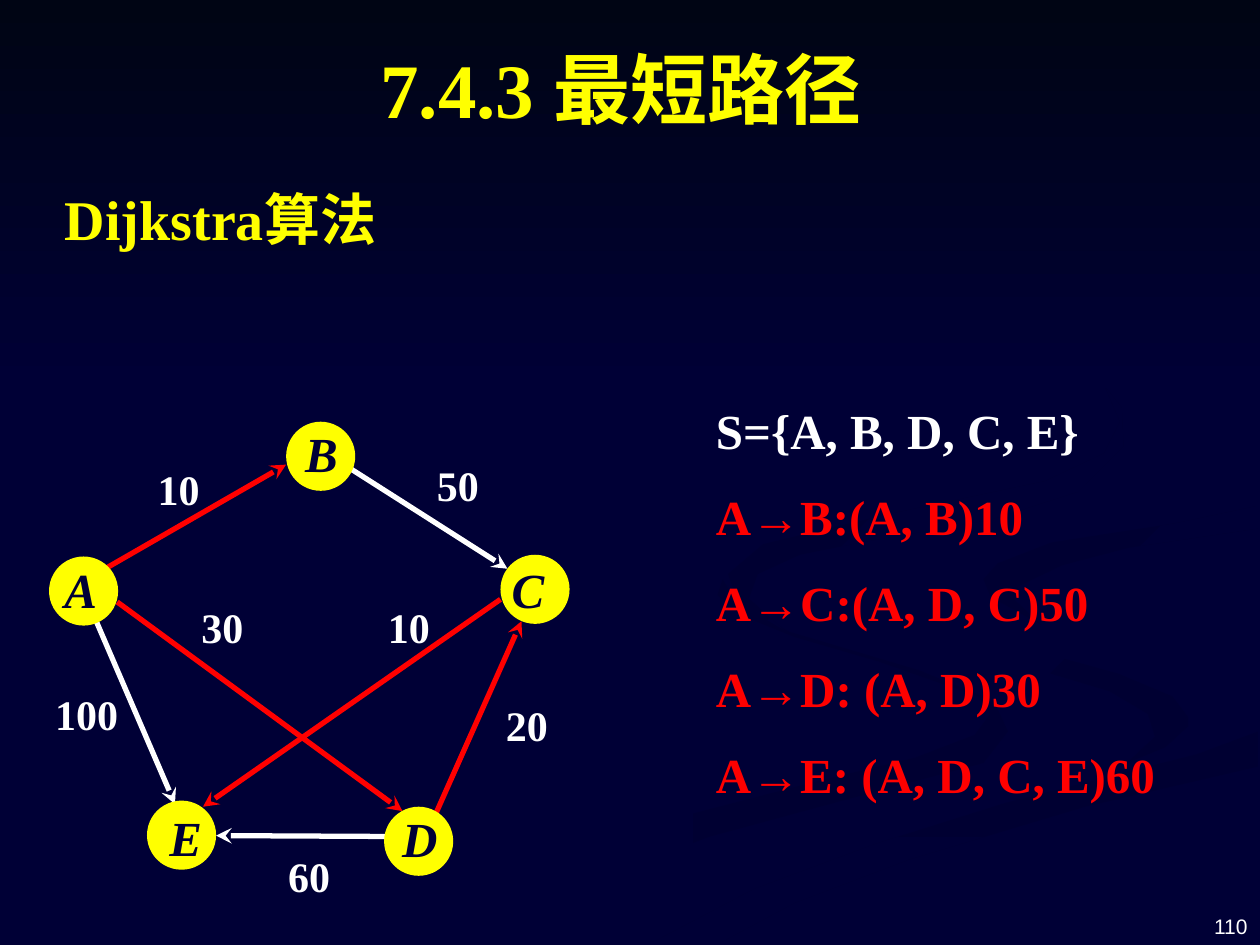
from pptx import Presentation
from pptx.dml.color import RGBColor
from pptx.enum.shapes import MSO_CONNECTOR as Link, MSO_SHAPE as Kind
from pptx.enum.text import MSO_ANCHOR as Anchor, MSO_AUTO_SIZE as Fit, PP_ALIGN as Align
from pptx.oxml.ns import qn
from pptx.util import Pt
from lxml.etree import SubElement

HUES = {"navy": "000036", "shade": "000032", "night": "000514",
        "yellow": "FFFF00", "red": "FF0000", "white": "FFFFFF"}
RGB = {name: RGBColor.from_string(hue) for name, hue in HUES.items()}
SERIF = "Times New Roman"

deck = Presentation()
deck.slide_width, deck.slide_height = Pt(720), Pt(540)
slide = deck.slides.add_slide(deck.slide_layouts[5])
shapes = slide.shapes
slide.background.fill.solid()
slide.background.fill.fore_color.rgb = RGB["navy"]


def style(para, size, hue, face=SERIF, bold=True, italic=False):
    for run in para.runs:
        font = run.font
        font.name, font.size, font.bold, font.italic = face, Pt(size), bold, italic
        font.color.rgb = RGB[hue]


def label(text, x, y, w, h, size, hue="white", pad=(7.2, 3.6, 7.2, 3.6), **look):
    """Add a text box, one paragraph per line of text, and return its frame."""
    frame = shapes.add_textbox(Pt(x), Pt(y), Pt(w), Pt(h)).text_frame
    frame.word_wrap = True
    (frame.margin_left, frame.margin_top,
     frame.margin_right, frame.margin_bottom) = [Pt(side) for side in pad]
    frame.text = text
    for para in frame.paragraphs:
        style(para, size, hue, **look)
    return frame


# Backdrop: faint ribbons, then the dark band at the top
# (start colour, end colour, clockwise angle, outline)
bands = [
    ("navy", "shade", 0, [
        (562, 398), (525, 383), (451, 361), (420, 343), (413, 331), (412, 334),
        (410, 340), (422, 351), (454, 364), (502, 378), (559, 398), (566, 408),
        (557, 420), (523, 433), (469, 446), (388, 467), (300, 497), (216, 539),
        (260, 539), (336, 504), (406, 478), (487, 456), (562, 436), (576, 418),
        (569, 403)]),
    ("navy", "shade", 45, [
        (679, 410), (670, 398), (639, 385), (570, 366), (528, 348), (521, 334),
        (526, 348), (544, 364), (574, 377), (634, 395), (656, 408), (660, 421),
        (644, 436), (666, 427), (679, 415)]),
    ("shade", "navy", 90, [
        (362, 539), (411, 539), (454, 516), (520, 491), (620, 461), (719, 438),
        (719, 418), (684, 431), (574, 459), (501, 482), (431, 508), (374, 538)]),
    ("shade", "navy", 45, [
        (562, 331), (566, 341), (595, 357), (580, 343), (582, 335), (607, 323),
        (645, 313), (719, 302), (719, 289), (672, 299), (601, 310), (570, 322)]),
    ("shade", "navy", 45, [
        (492, 310), (566, 297), (616, 281), (642, 255), (641, 233), (622, 209),
        (575, 180), (549, 168), (595, 192), (631, 220), (640, 241), (631, 259),
        (597, 275), (507, 294), (436, 311), (416, 328), (422, 345), (448, 360),
        (428, 342), (433, 328), (457, 317)]),
    ("night", "navy", 90, [(0, 0), (0, 222), (720, 222), (720, 0)]),
]
for start, end, turn, points in bands:
    pen = shapes.build_freeform(Pt(points[0][0]), Pt(points[0][1]))
    pen.add_line_segments([(Pt(x), Pt(y)) for x, y in points[1:]], close=True)
    band = pen.convert_to_shape()
    band.shadow.inherit = False
    band.line.fill.background()
    band.fill.gradient()
    band.fill.gradient_angle = (360 - turn) % 360
    for stop, hue in zip(band.fill.gradient_stops, (start, end)):
        stop.color.rgb = RGB[hue]

# Headings and page number
title = shapes.title
shapes._spTree.append(title._element)
title.left, title.top, title.width, title.height = Pt(31), Pt(11.5), Pt(648), Pt(77)
head = title.text_frame
head.text = "7.4.3 最短路径"
head.auto_size, head.vertical_anchor = Fit.NONE, Anchor.MIDDLE
head.paragraphs[0].alignment = Align.CENTER
style(head.paragraphs[0], 44, "yellow")

label("Dijkstra算法", 30, 102, 366, 45, 32, "yellow")
page = label("110", 552, 502.5, 168, 37.5, 12, face="Arial", bold=False)
page.vertical_anchor = Anchor.BOTTOM
page.paragraphs[0].alignment = Align.RIGHT

# Shortest paths found
paths = label("S={A, B, D, C, E}\nA→B:(A, B)10\nA→C:(A, D, C)50\n"
              "A→D: (A, D)30\nA→E: (A, D, C, E)60", 402, 225.5, 287, 243, 28, "red")
style(paths.paragraphs[0], 28, "white")
for para in paths.paragraphs[1:]:
    para.space_before = Pt(15.5)

# Edge weights
for text, x, y in [("10", 83, 261.5), ("50", 242.5, 259), ("30", 108, 340),
                   ("10", 214.5, 340), ("20", 282, 396), ("60", 157.5, 482.5)]:
    label(text, x, y, 43, 36, 24)
label("100", 31.5, 390, 49, 36, 24, pad=(0, 3.6, 7.2, 3.6))

# Edges, red where they lie on a shortest path
edges = [
    ("red", 61, 324.5, 163.5, 265.5),     # A to B
    ("white", 220.5, 478, 123.5, 477.5),  # D to E
    ("red", 286, 342.5, 116, 461),        # C to E
    ("white", 199, 267, 290, 325),        # B to C
    ("red", 67, 344, 230, 463.5),         # A to D
    ("red", 249, 465, 298, 355),          # D to C
    ("white", 55, 355, 100, 459.5),       # A to E
]
for hue, *ends in edges:
    edge = shapes.add_connector(Link.STRAIGHT, *[Pt(end) for end in ends])
    edge.line.width = Pt(3)
    edge.line.color.rgb = RGB[hue]
    SubElement(edge.line._get_or_add_ln(), qn("a:tailEnd"), type="stealth")
    SubElement(edge._element.spPr, qn("a:effectLst"))

# Nodes: circle corner, then letter box corner
nodes = [("B", 163.5, 241, 168.5, 237.5), ("A", 28, 318, 31, 315.5),
         ("E", 84, 457.5, 91, 457), ("D", 219.5, 461, 224, 457.5),
         ("C", 286, 317, 286.5, 315.5)]
for name, x, y, left, top in nodes:
    node = shapes.add_shape(Kind.OVAL, Pt(x), Pt(y), Pt(39.5), Pt(39.5))
    node.shadow.inherit = False
    node.fill.solid()
    node.fill.fore_color.rgb = RGB["yellow"]
    node.line.fill.background()
    label(name, left, top, 37, 47, 28, "navy", (5.8, 4.3, 0, 0.7), italic=True)

deck.save("out.pptx")
